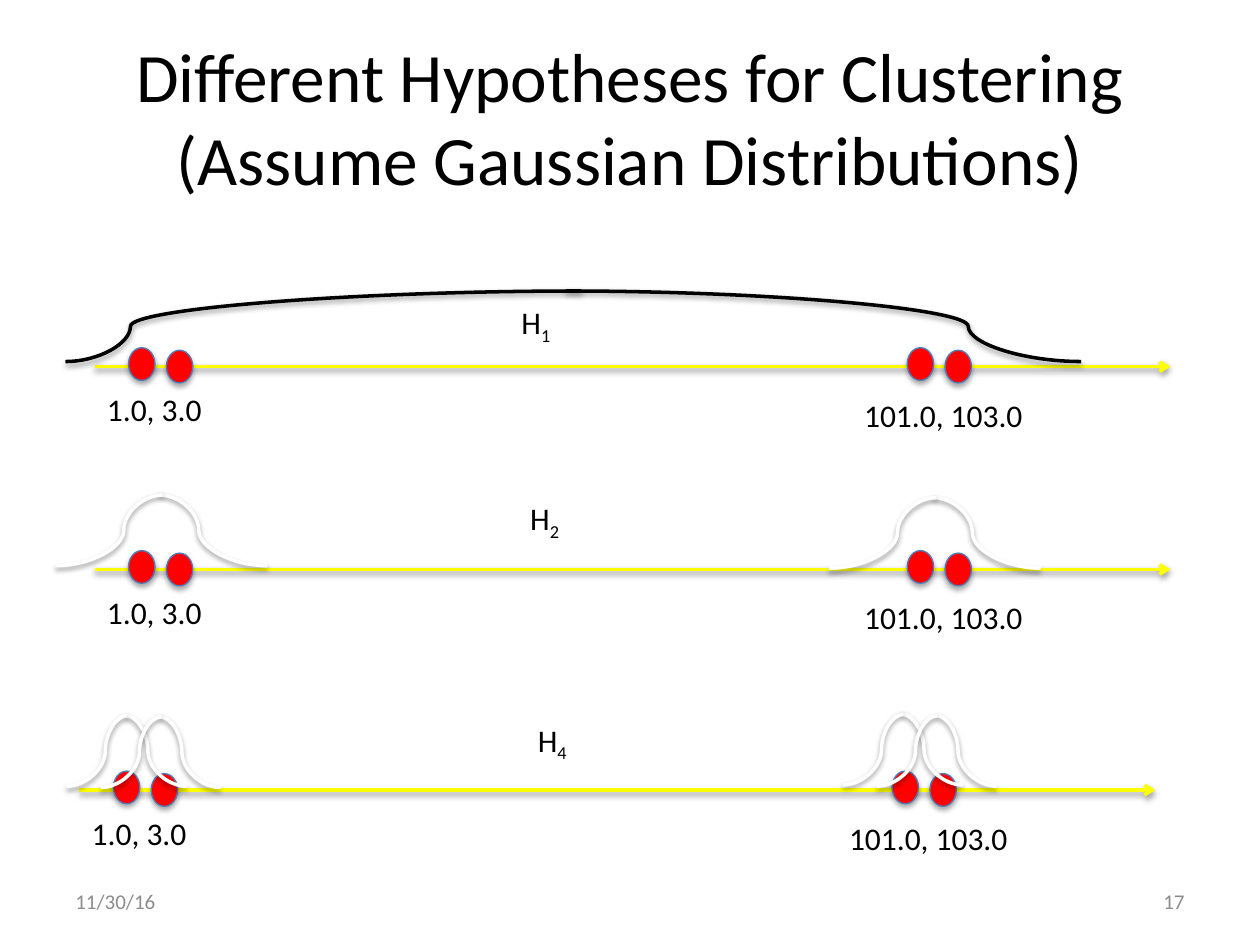
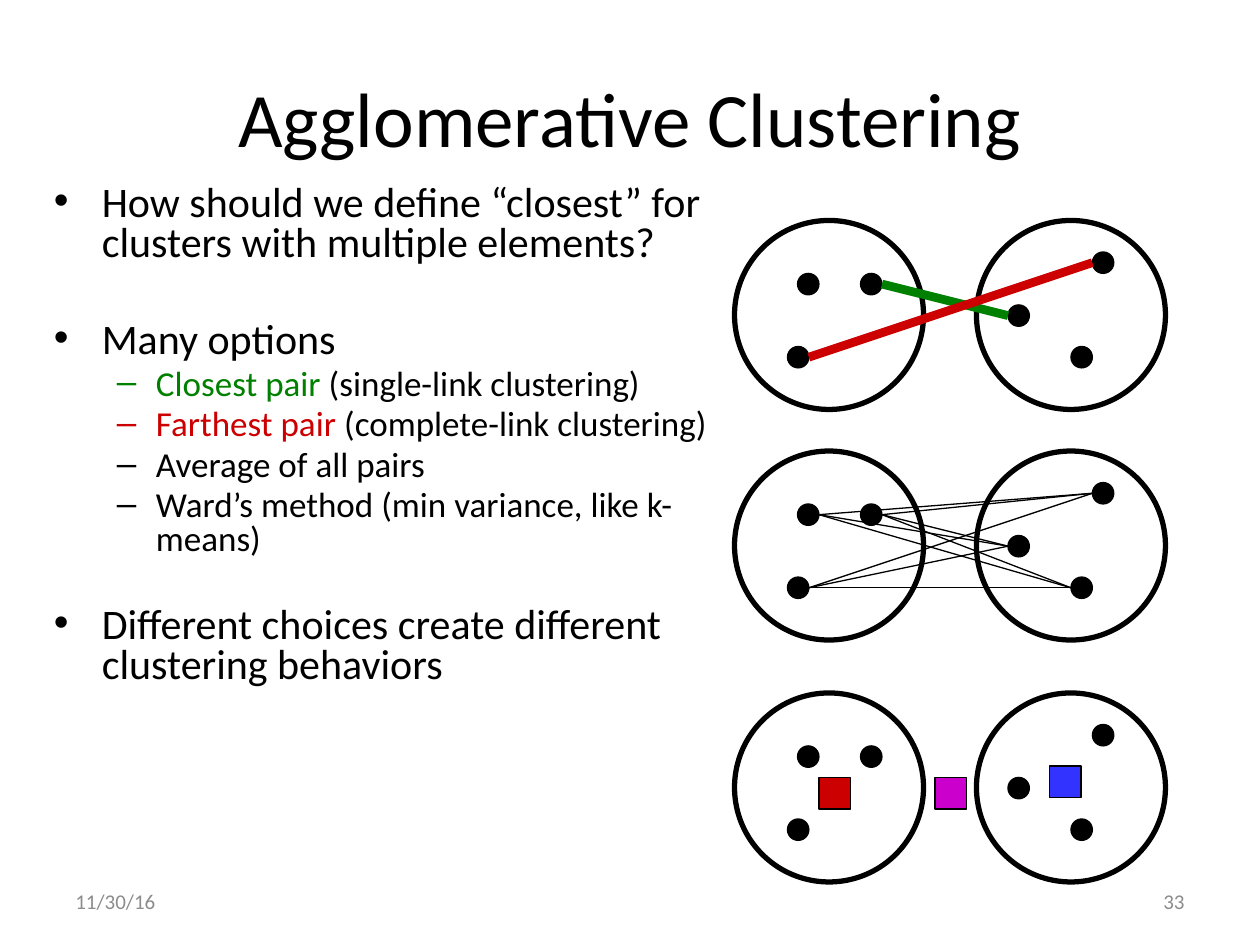
"""Build two slides on clustering hypotheses and agglomerative clustering."""
from itertools import product

from lxml import etree
from pptx import Presentation
from pptx.dml.color import RGBColor
from pptx.enum.shapes import MSO_CONNECTOR, MSO_SHAPE
from pptx.enum.text import MSO_ANCHOR, MSO_AUTO_SIZE, PP_ALIGN
from pptx.oxml.ns import qn
from pptx.util import Inches, Pt

OVAL, RECT = MSO_SHAPE.OVAL, MSO_SHAPE.RECTANGLE
LINE, CURVE = MSO_CONNECTOR.STRAIGHT, MSO_CONNECTOR.CURVE
LEFT, MID, RIGHT = PP_ALIGN.LEFT, PP_ALIGN.CENTER, PP_ALIGN.RIGHT
TOP, CENTER = MSO_ANCHOR.TOP, MSO_ANCHOR.MIDDLE
GROW = MSO_AUTO_SIZE.SHAPE_TO_FIT_TEXT

FONT = "Calibri"
HUES = {
    "black": "000000", "white": "FFFFFF", "grey": "8C8C8C",
    "yellow": "FFFF00", "red": "FF0000", "rim": "4B7EBC",
    "green": "008000", "brick": "CC0000", "blue": "3333FF",
    "plum": "CC00CC",
}


def write(slide, box, paras, size=18, hue="black", align=LEFT, anchor=TOP,
          wrap=True, space=None):
    """Add a text box; a paragraph is a string or a dict of runs and format."""
    shape = slide.shapes.add_textbox(*map(Inches, box))
    frame = shape.text_frame
    frame.word_wrap = wrap
    frame.vertical_anchor = anchor
    if not wrap:
        frame.auto_size = GROW
    for i, item in enumerate(paras):
        if isinstance(item, str):
            item = {"runs": [(item, hue, 0)]}
        para = frame.paragraphs[0] if i == 0 else frame.add_paragraph()
        para.alignment = align
        if space:
            para.line_spacing = space
        if i and "gap" in item:
            para.space_before = Pt(item["gap"])
        if "mark" in item:
            props = para._p.get_or_add_pPr()
            props.set("marL", str(Inches(item["inset"])))
            props.set("indent", str(-Inches(item["hang"])))
            tint = etree.SubElement(props, qn("a:buClr"))
            etree.SubElement(tint, qn("a:srgbClr"), val=HUES[item["runs"][0][1]])
            etree.SubElement(props, qn("a:buFont"), typeface="Arial")
            etree.SubElement(props, qn("a:buChar"), char=item["mark"])
        for words, tone, base in item["runs"]:
            for j, part in enumerate(words.split("\n")):
                if j:
                    para.add_line_break()
                run = para.add_run()
                run.text = part
                run.font.name = FONT
                run.font.size = Pt(item.get("size", size))
                run.font.color.rgb = RGBColor.from_string(HUES[tone])
                if base:
                    run.font._element.set("baseline", str(base * 1000))


def ink(item, line="black", width=0.75, fill=None, shade=None, tip=False):
    """Set line, fill, shadow and arrowhead of a shape or connector."""
    item.line.color.rgb = RGBColor.from_string(HUES[line])
    item.line.width = Pt(width)
    if fill:
        item.fill.solid()
        item.fill.fore_color.rgb = RGBColor.from_string(HUES[fill])
    elif hasattr(item, "fill"):
        item.fill.background()
    props = item._element.spPr
    if tip:
        etree.SubElement(props.find(qn("a:ln")), qn("a:tailEnd"), type="arrow")
    effect = etree.SubElement(props, qn("a:effectLst"))
    if shade:
        alpha, drop = shade
        cast = etree.SubElement(
            effect, qn("a:outerShdw"), blurRad=str(Pt(3.1)),
            dist=str(Pt(drop)), dir="5400000", rotWithShape="0")
        tint = etree.SubElement(cast, qn("a:srgbClr"), val=HUES["black"])
        etree.SubElement(tint, qn("a:alpha"), val=str(alpha * 1000))


deck = Presentation()
deck.slide_width, deck.slide_height = Inches(10), Inches(7.5)
pages = []
for title, size, num in (
    ("Different Hypotheses for Clustering\n(Assume Gaussian Distributions)", 39.6, "17"),
    ("Agglomerative Clustering", 44, "33"),
):
    page = deck.slides.add_slide(deck.slide_layouts[6])
    write(page, (0.5, 0.3, 9, 1.25), [title], size=size, align=MID, anchor=CENTER)
    for x, words, align in ((0.5, "11/30/16", LEFT), (7.17, num, RIGHT)):
        write(page, (x, 6.95, 2.33, 0.4), [words], size=12, hue="grey",
              align=align, anchor=CENTER)
    pages.append(page)
first, second = pages

GLOW, DROP = (38, 1.6), (35, 1.8)
for x, y in ((0.75, 2.91), (0.75, 4.52), (0.63, 6.27)):
    axis = first.shapes.add_connector(
        LINE, Inches(x), Inches(y), Inches(x + 8.54), Inches(y))
    ink(axis, "yellow", 2, shade=GLOW, tip=True)
    for pair, (dx, dy) in product((0.27, 6.45), ((0, -0.15), (0.3, -0.13))):
        dot = first.shapes.add_shape(
            OVAL, Inches(x + pair + dx), Inches(y + dy), Inches(0.21), Inches(0.26))
        ink(dot, "rim", fill="red", shade=DROP)
    write(first, (x, y + 0.14, 0.96, 0.4), ["1.0, 3.0"], wrap=False)
    write(first, (x + 6.01, y + 0.18, 1.47, 0.4), ["101.0, 103.0"], wrap=False)

WIDE, SLIM = (0.85, 0.02, 36.2, 36.2, "white"), (0.48, 0.01, 36.2, 36.2, "white")
bells = (
    (1.27, 3.93, WIDE), (7.41, 3.95, WIDE),
    (4.49, 2.31, (4.09, 0.12, 78.1, 87.4, "black")),
    (1, 5.68, SLIM), (1.27, 5.69, SLIM),
    (7.16, 5.67, SLIM), (7.43, 5.68, SLIM),
)
for x, y, (reach, gap, right, left, hue) in bells:
    for start, end, bend in ((x, x + reach, right), (x + gap, x + gap - reach, left)):
        half = first.shapes.add_connector(
            CURVE, Inches(start), Inches(y), Inches(end), Inches(y + 0.56))
        guides = next(half._element.iter(qn("a:avLst")))
        etree.SubElement(guides, qn("a:gd"), name="adj1",
                         fmla=f"val {round(bend * 1000)}")
        ink(half, hue, 2, shade=GLOW)

for x, y, num in ((4.17, 5.67, "4"), (4.11, 3.91, "2"), (4.04, 2.36, "1")):
    write(first, (x, y, 0.44, 0.4),
          [{"runs": [("H", "black", 0), (num, "black", -25)]}], wrap=False)

MAIN = {"size": 24, "mark": "•", "inset": 0.38, "hang": 0.38}
SUB = {"size": 20, "mark": "–", "inset": 0.81, "hang": 0.31, "gap": 4}
points = (
    (MAIN, {}, [("How should we define “closest” for clusters with multiple elements?", "black")]),
    (MAIN, {"gap": 32}, [("Many options", "black")]),
    (SUB, {}, [("Closest pair", "green"), (" (single-link clustering)", "black")]),
    (SUB, {}, [("Farthest pair", "brick"), (" (complete-link clustering)", "black")]),
    (SUB, {}, [("Average of all pairs", "black")]),
    (SUB, {}, [("Ward’s method (min variance, like k-means)", "black")]),
    (MAIN, {"gap": 28}, [("Different choices create different clustering behaviors", "black")]),
)
write(second, (0.33, 1.42, 5.5, 5.42),
      [{**kind, **more, "runs": [(words, hue, 0) for words, hue in runs]}
       for kind, more, runs in points], space=0.8)

DOT = 0.17
near = ((6.33, 0.42), (6.83, 0.42), (6.25, 1))
far = ((8, 0.67), (8.5, 1), (8.67, 0.25))
panels = (
    (1.75, [(near[1], far[0], "green", 5), (near[2], far[2], "brick", 5)], ()),
    (3.58, [(a, b, "black", 0.75) for a, b in product(near, far)], ()),
    (5.5, [], ((6.5, 0.67, "brick"), (8.33, 0.58, "blue"), (7.42, 0.67, "plum"))),
)
for top, links, means in panels:
    for x in (7.75, 5.83):
        ring = second.shapes.add_shape(
            OVAL, Inches(x), Inches(top), Inches(1.5), Inches(1.5))
        ink(ring, width=3)
    for x, y in near + far:
        dot = second.shapes.add_shape(
            OVAL, Inches(x), Inches(top + y), Inches(DOT), Inches(DOT))
        ink(dot, fill="black")
    for (ax, ay), (bx, by), hue, width in links:
        link = second.shapes.add_connector(
            LINE, Inches(ax + DOT), Inches(top + ay + DOT / 2),
            Inches(bx), Inches(top + by + DOT / 2))
        ink(link, hue, width)
    for x, y, hue in means:
        mean = second.shapes.add_shape(
            RECT, Inches(x), Inches(top + y), Inches(0.25), Inches(0.25))
        ink(mean, fill=hue)

deck.save("out.pptx")
